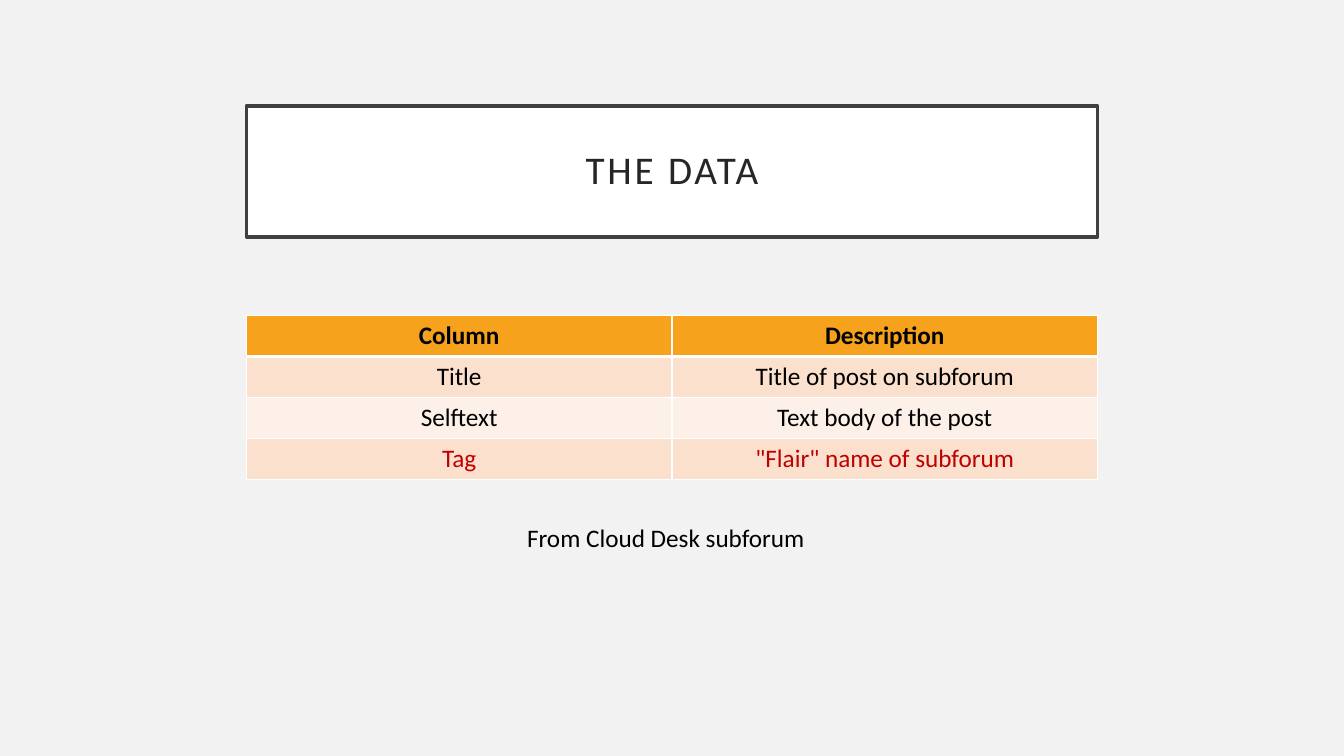
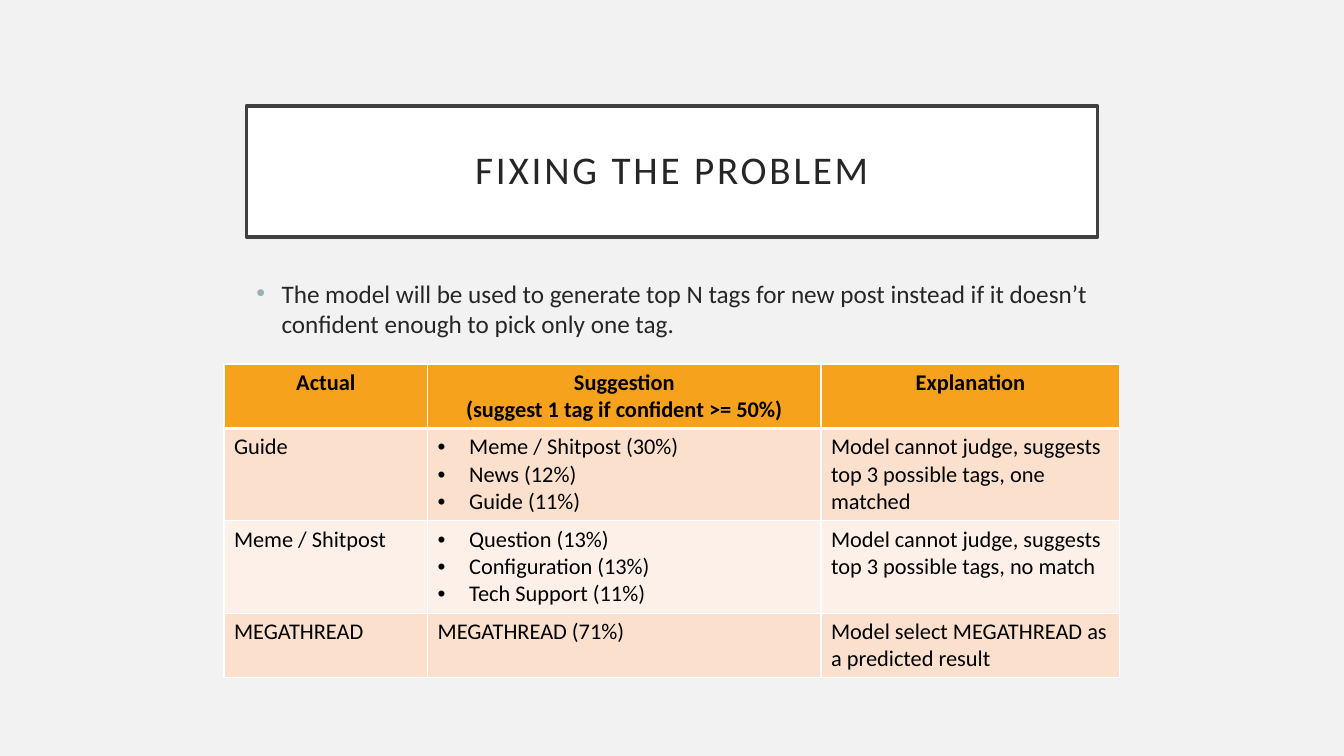
from pptx import Presentation
from pptx.dml.color import RGBColor as RGB
from pptx.enum.text import MSO_ANCHOR as Anchor, MSO_AUTO_SIZE as Auto, PP_ALIGN as Align
from pptx.oxml.ns import qn
from pptx.util import Pt
from lxml.etree import SubElement as Sub

INK = {
    "back": "F2F2F2", "white": "FFFFFF", "frame": "404040", "title": "262626",
    "text": "000000", "mark": "C00000", "dot": "9BAFB5",
    "head": "F6A21D", "odd": "FBE0CD", "even": "FDF0E8",
}
FONT = "Calibri"
WIDE, HIGH = 960, 540
LEFT, SPAN = 176, 608
PAD = 14.4


def color(name):
    """Return the named palette color."""
    return RGB.from_string(INK[name])


def style(par, size, ink, bold=False):
    """Format every run of a paragraph."""
    for run in par.runs:
        font = run.font
        font.name, font.size, font.bold = FONT, Pt(size), bold
        font.color.rgb = color(ink)


def bullet(par, indent, ink=None):
    """Give a paragraph a hanging round bullet."""
    prop = par._p.get_or_add_pPr()
    prop.set("marL", str(Pt(indent)))
    prop.set("indent", str(-Pt(indent)))
    if ink:
        Sub(Sub(prop, qn("a:buClr")), qn("a:srgbClr"), val=INK[ink])
    Sub(prop, qn("a:buFont"), typeface="Arial")
    Sub(prop, qn("a:buChar"), char="•")


def title(slide, text):
    """Place the framed title."""
    shape = slide.shapes.title
    shape.left, shape.top, shape.width, shape.height = map(Pt, (LEFT, 75.6, SPAN, 93.6))
    shape.fill.solid()
    shape.fill.fore_color.rgb = color("white")
    shape.line.color.rgb = color("frame")
    shape.line.width = Pt(2.5)
    frame = shape.text_frame
    frame.text = text
    frame.auto_size, frame.word_wrap = Auto.NONE, True
    frame.vertical_anchor = Anchor.MIDDLE
    frame.margin_left = frame.margin_right = Pt(PAD)
    frame.margin_top = frame.margin_bottom = Pt(PAD)
    par = frame.paragraphs[0]
    par.alignment, par.line_spacing = Align.CENTER, 0.9
    style(par, 28, "title")
    for run in par.runs:
        run.font._element.set("spc", "200")


def label(slide, text, box, ink, wrap):
    """Add a text box and return its paragraph."""
    frame = slide.shapes.add_textbox(*map(Pt, box)).text_frame
    frame.text = text
    frame.word_wrap = wrap
    par = frame.paragraphs[0]
    style(par, 18, ink)
    return par


def border(cell, row):
    """Draw white cell edges, thicker under the header."""
    prop = cell._tc.get_or_add_tcPr()
    thick = {"L": 1, "R": 1, "T": 3 if row == 1 else 1, "B": 3 if row == 0 else 1}
    for side, width in thick.items():
        line = Sub(prop, qn(f"a:ln{side}"), w=str(Pt(width)))
        Sub(Sub(line, qn("a:solidFill")), qn("a:srgbClr"), val=INK["white"])


def grid(slide, data, spot, cols, rows, size, center=False, mark=None):
    """Add a banded table whose multi-line body cells are bulleted."""
    box = (*spot, sum(cols), sum(rows))
    table = slide.shapes.add_table(len(rows), len(cols), *map(Pt, box)).table
    table.horz_banding = False
    for col, width in zip(table.columns, cols):
        col.width = Pt(width)
    for r, (line, high) in enumerate(zip(data, rows)):
        table.rows[r].height = Pt(high)
        head = r == 0
        for c, text in enumerate(line):
            cell = table.cell(r, c)
            border(cell, r)
            cell.fill.solid()
            cell.fill.fore_color.rgb = color("head" if head else "odd" if r % 2 else "even")
            cell.text = text
            for par in cell.text_frame.paragraphs:
                par.alignment = Align.CENTER if head or center else Align.LEFT
                style(par, size, "mark" if r == mark else "text", head)
                if not head and "\n" in text:
                    bullet(par, 22.5)


def start(deck, text):
    """Add a titled slide."""
    slide = deck.slides.add_slide(deck.slide_layouts[5])
    title(slide, text)
    return slide


def source(deck):
    """Build the slide on the data columns."""
    slide = start(deck, "THE DATA")
    data = [
        ("Column", "Description"),
        ("Title", "Title of post on subforum"),
        ("Selftext", "Text body of the post"),
        ("Tag", "\"Flair\" name of subforum"),
    ]
    grid(slide, data, (LEFT, 225.5), [SPAN / 2] * 2, [29.2] * 4, 18, True, 3)
    label(slide, "From Cloud Desk subforum", (369.4, 369.4, 221.8, 29), "text", False)


def remedy(deck):
    """Build the slide on suggested tags."""
    slide = start(deck, "FIXING THE PROBLEM")
    note = ("The model will be used to generate top N tags for new post instead "
            "if it doesn’t confident enough to pick only one tag.")
    par = label(slide, note, (LEFT, 195, SPAN, 60), "title", True)
    par.space_before = Pt(10)
    bullet(par, 18, "dot")
    data = [
        ("Actual", "Suggestion\n(suggest 1 tag if confident >= 50%)", "Explanation"),
        ("Guide", "Meme / Shitpost (30%)\nNews (12%)\nGuide (11%)",
         "Model cannot judge, suggests top 3 possible tags, one matched"),
        ("Meme / Shitpost", "Question (13%)\nConfiguration (13%)\nTech Support (11%)",
         "Model cannot judge, suggests top 3 possible tags, no match"),
        ("MEGATHREAD", "MEGATHREAD (71%)", "Model select MEGATHREAD as a predicted result"),
    ]
    grid(slide, data, (160, 260), [145.5, 281, 213.5], [46, 66, 66, 46], 16)


def main():
    """Build and save the deck."""
    deck = Presentation()
    deck.slide_width, deck.slide_height = Pt(WIDE), Pt(HIGH)
    fill = deck.slide_master.background.fill
    fill.solid()
    fill.fore_color.rgb = color("back")
    source(deck)
    remedy(deck)
    deck.save("out.pptx")


main()
